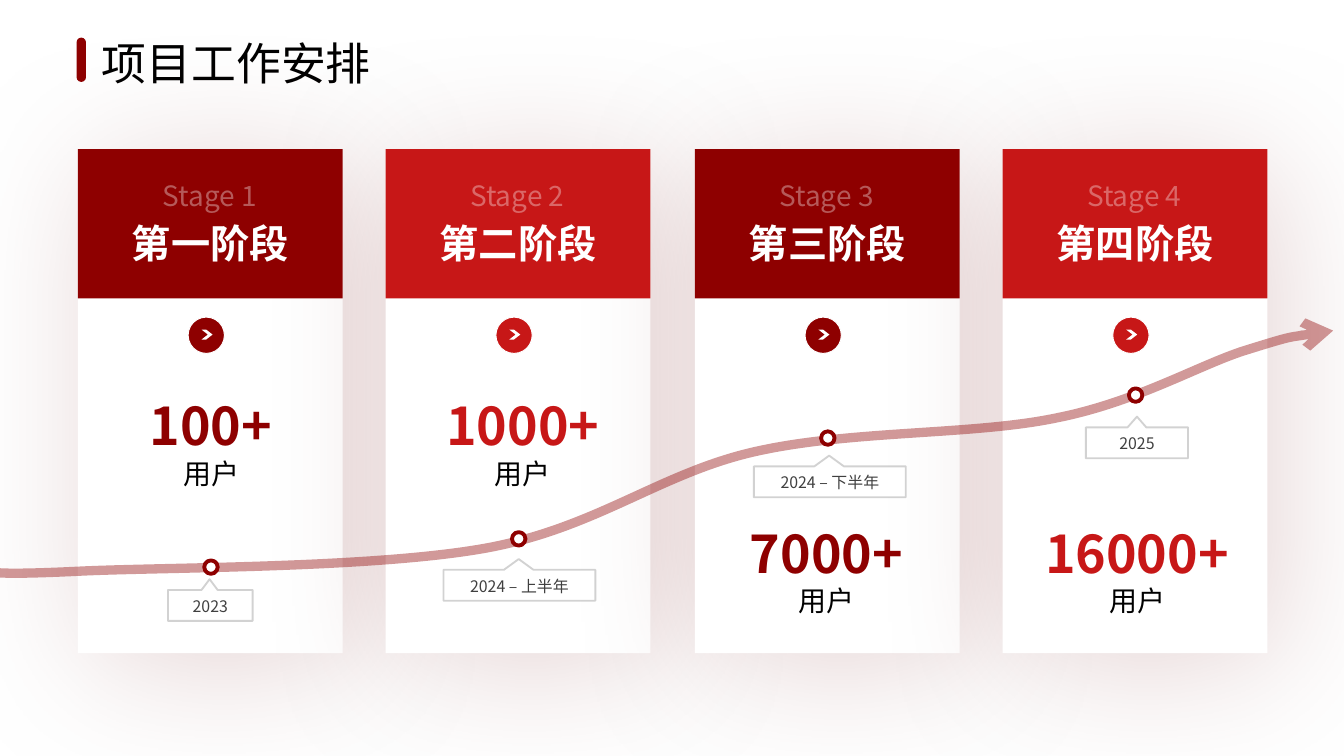
from lxml.etree import SubElement
from pptx import Presentation
from pptx.dml.color import RGBColor
from pptx.enum.shapes import MSO_SHAPE
from pptx.enum.text import MSO_AUTO_SIZE, PP_ALIGN
from pptx.oxml.ns import qn
from pptx.util import Pt

PX = 9144
WIDE = 1000 * PX
HIGH = WIDE * 9 // 16
DARK = RGBColor(0x8E, 0x00, 0x00)
RED = RGBColor(0xC7, 0x17, 0x17)
WHITE = RGBColor(0xFF, 0xFF, 0xFF)
BLACK = RGBColor(0x00, 0x00, 0x00)
GREY = RGBColor(0xA6, 0xA6, 0xA6)
INK = RGBColor(0x40, 0x40, 0x40)
SHADE = RGBColor(0x6A, 0x00, 0x00)
SANS = "Noto Sans CJK SC"
HEAD = "Cabin"

CURVE = [
    (-14, 424), (-8, 426), (-2, 428), (60, 425), (123, 422), (277, 423),
    (361, 408), (444, 393), (491, 352), (562, 336), (633, 320), (724, 324),
    (786, 311), (847, 299), (895, 270), (929, 260), (964, 249), (978, 248),
    (992, 246),
]

STAGES = [
    ("第一阶段", "100+", (157, 289), 417, "2023", (125, 431, 63)),
    ("第二阶段", "1000+", (389, 289), 396, "2024 – 上半年", (330, 416, 113)),
    ("第三阶段", "7000+", (615, 384), 321, "2024 – 下半年", (561, 339, 113)),
    ("第四阶段", "16000+", (846, 384), 289, "2025", (808, 310, 76)),
]


def fade(node, pct):
    for color in node.iter(qn("a:srgbClr")):
        SubElement(color, qn("a:alpha"), val=str(pct * 1000))


def write(para, text, size=15, color=BLACK, bold=False, face=SANS, alpha=None):
    para.line_spacing = Pt(round(size * 1.2, 1))
    run = para.add_run()
    run.text = text
    font = run.font
    font.size, font.bold, font.name = Pt(size), bold, face
    font.color.rgb = color
    SubElement(run._r.find(qn("a:rPr")), qn("a:ea"), typeface=SANS)
    if alpha:
        fade(run._r, alpha)


class Deck:
    def __init__(self):
        self.file = Presentation()
        self.file.slide_width = WIDE
        self.file.slide_height = HIGH
        self.slide = self.file.slides.add_slide(self.file.slide_layouts[6])
        self.shapes = self.slide.shapes

    def paint(self, shape, fill=None, line=None, width=1):
        shape.shadow.inherit = False
        if fill is None:
            shape.fill.background()
        else:
            shape.fill.solid()
            shape.fill.fore_color.rgb = fill
        if line is None:
            shape.line.fill.background()
        else:
            shape.line.color.rgb = line
            shape.line.width = Pt(width)
        return shape

    def block(self, kind, box, adj=None, **style):
        shape = self.shapes.add_shape(kind, *(n * PX for n in box))
        if adj is not None:
            shape.adjustments[0] = adj
        return self.paint(shape, **style)

    def card(self, left):
        shape = self.block(MSO_SHAPE.RECTANGLE, (left, 111, 197, 375), fill=WHITE)
        effect = shape.element.spPr.find(qn("a:effectLst"))
        glow = SubElement(effect, qn("a:outerShdw"), blurRad=str(Pt(78.3)),
                          dist=str(Pt(10.3)), dir="2700000", algn="tl",
                          rotWithShape="0")
        SubElement(glow, qn("a:srgbClr"), val=str(SHADE))
        fade(glow, 16)

    def label(self, box, *lines, pad=(8, 4), align=PP_ALIGN.CENTER, wrap=True):
        frame = self.shapes.add_textbox(*(n * PX for n in box)).text_frame
        frame.word_wrap = wrap
        frame.auto_size = MSO_AUTO_SIZE.SHAPE_TO_FIT_TEXT
        frame.margin_left = frame.margin_right = pad[0] * PX
        frame.margin_top = frame.margin_bottom = pad[1] * PX
        for i, (text, style) in enumerate(lines):
            para = frame.add_paragraph() if i else frame.paragraphs[0]
            para.alignment = align
            write(para, text, **style)

    def outline(self, points, close, **style):
        pen = self.shapes.build_freeform(*points[0], scale=PX)
        pen.add_line_segments(points[1:], close=close)
        shape = self.paint(pen.convert_to_shape(), **style)
        return shape, shape.element.spPr.find(qn("a:ln"))

    def curve(self, points):
        shape, line = self.outline(points, False, line=DARK, width=5)
        fade(line, 40)
        SubElement(line, qn("a:tailEnd"), type="arrow")
        track = next(shape.element.iter(qn("a:path")))
        steps = track.findall(qn("a:lnTo"))
        for i in range(0, len(steps), 3):
            bend = SubElement(track, qn("a:cubicBezTo"))
            for step in steps[i:i + 3]:
                bend.append(step[0])
                track.remove(step)

    def tag(self, left, top, width, text):
        mid, tip = left + width // 2, width // 10
        right, edge, base = left + width, top + 8, top + 31
        points = [(left, edge), (mid - tip, edge), (mid, top),
                  (mid + tip, edge), (right, edge), (right, base), (left, base)]
        line = self.outline(points, True, fill=WHITE, line=GREY)[1]
        fade(line, 50)
        self.label((left, edge, width, 24), (text, dict(size=8.5, color=INK)),
                   pad=(10, 5))

    def badge(self, left, color):
        self.block(MSO_SHAPE.OVAL, (left, 236, 27, 27), fill=color,
                   line=WHITE, width=0.5)
        mark = self.block(MSO_SHAPE.CHEVRON, (left + 12, 246, 5, 6), adj=0.765,
                          fill=WHITE, line=WHITE, width=1.03)
        line = mark.element.spPr.find(qn("a:ln"))
        SubElement(line, qn("a:miter"), lim="800000")

    def header(self, left, color, small, name):
        self.block(MSO_SHAPE.RECTANGLE, (left, 111, 197, 111), fill=color)
        self.label((left + 14, 159, 169, 43),
                   (name, dict(size=21, color=WHITE, bold=True)))
        self.label((left + 36, 129, 124, 33),
                   (small, dict(color=WHITE, alpha=35)))


def main():
    deck = Deck()
    deck.label((66, 22, 222, 50), ("项目工作安排", dict(size=24, face=HEAD)),
               pad=(10, 5), align=PP_ALIGN.LEFT, wrap=False)
    deck.block(MSO_SHAPE.ROUNDED_RECTANGLE, (57, 28, 7, 33), adj=0.5, fill=DARK)
    lefts = [58 + 459 * i // 2 for i in range(len(STAGES))]
    for left in lefts:
        deck.card(left)
    deck.curve(CURVE)
    for i, (left, stage) in enumerate(zip(lefts, STAGES)):
        name, count, (mid, top), dot, date, spot = stage
        color = RED if i % 2 else DARK
        deck.block(MSO_SHAPE.OVAL, (left + 94, dot, 10, 10), fill=WHITE,
                   line=DARK, width=2.06)
        deck.tag(*spot, date)
        deck.badge(left + 82, color)
        deck.header(left, color, f"Stage {i + 1}", name)
        deck.label((mid - 96, top, 192, 80),
                   (count, dict(size=27.8, color=color, bold=True)),
                   ("用户", dict()))
    deck.file.save("out.pptx")


if __name__ == "__main__":
    main()
